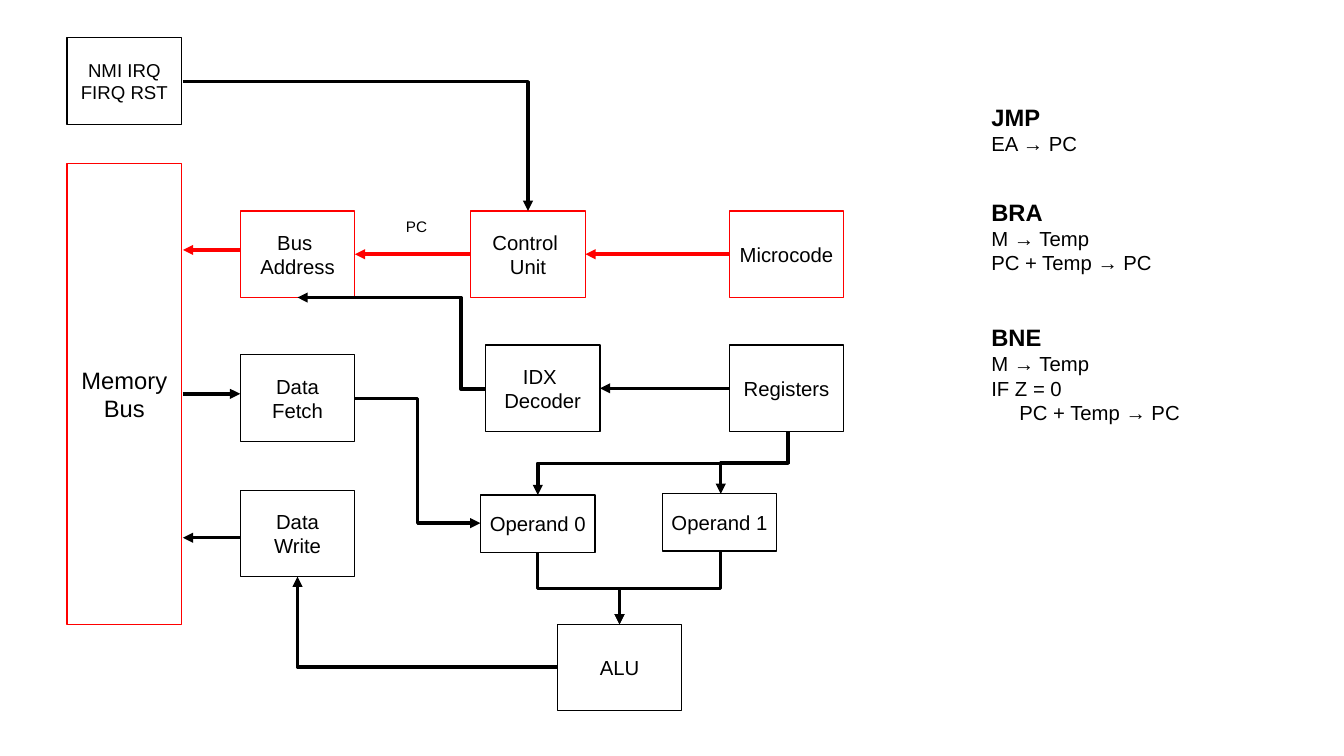
"""Build a slide with the block diagram of a processor and three jump instructions."""
from lxml.etree import SubElement
from pptx import Presentation
from pptx.dml.color import RGBColor
from pptx.enum.shapes import MSO_CONNECTOR, MSO_SHAPE
from pptx.enum.text import MSO_ANCHOR, MSO_AUTO_SIZE, PP_ALIGN
from pptx.oxml.ns import qn
from pptx.util import Inches, Pt

BLACK, RED, WHITE = "000000", "FF0000", "FFFFFF"
FONT = "Arial"
BOX_WIDTH, BOX_HEIGHT = 0.94, 0.71
TOP, LEFT, BOTTOM, RIGHT = range(4)

BLOCKS = [
    ("Control \nUnit", 3.86, 1.73, RED),
    ("Registers", 5.98, 2.83, BLACK),
    ("IDX \nDecoder", 3.98, 2.83, BLACK),
    ("Microcode", 5.98, 1.73, RED),
    ("Bus \nAddress", 1.97, 1.73, RED),
    ("Data\nFetch", 1.97, 2.91, BLACK),
    ("Data\nWrite", 1.97, 4.02, BLACK),
]
BUS_ARROWS = [
    ((1.97, 2.05), (1.5, 2.05), RED),
    ((1.5, 3.23), (1.97, 3.23), BLACK),
    ((1.97, 4.41), (1.5, 4.41), BLACK),
]
JOINED_ARROWS = [
    ("Registers", "IDX \nDecoder", BLACK),
    ("Microcode", "Control \nUnit", RED),
    ("Control \nUnit", "Bus \nAddress", RED),
]
CORNER_ARROWS = [((4.57, 5.47), (2.44, 4.73)), ((1.5, 0.67), (4.33, 1.73))]
SIDE_ARROWS = [
    ((2.91, 3.27), (3.94, 4.29), 0.5),
    ((3.98, 3.19), (2.44, 2.44), 0.13),
]
DOWN_ARROWS = [
    ((4.41, 4.53), (5.08, 5.12)),
    ((5.91, 4.53), (5.08, 5.12)),
    ((6.46, 3.54), (5.91, 4.05)),
    ((6.46, 3.54), (4.41, 4.06)),
]
INSTRUCTIONS = [
    (0.79, 0.5, "JMP\nEA → PC"),
    (1.57, 0.69, "BRA\nM → Temp\nPC + Temp → PC"),
    (2.6, 0.88, "BNE\nM → Temp\nIF Z = 0\nPC + Temp → PC"),
]


def color(value):
    """Turn a hex string into a colour."""
    return RGBColor.from_string(value)


def format_paragraph(paragraph, size, bold=False, align=PP_ALIGN.LEFT):
    """Set the alignment of a paragraph and the font of its runs."""
    paragraph.alignment = align
    for run in paragraph.runs:
        run.font.name = FONT
        run.font.size = Pt(size)
        run.font.bold = bold
        run.font.color.rgb = color(BLACK)


def add_block(slide, text, left, top, line=BLACK, width=BOX_WIDTH, height=BOX_HEIGHT, size=12):
    """Add a white rectangle with a hairline outline and centred text."""
    shape = slide.shapes.add_shape(
        MSO_SHAPE.RECTANGLE, Inches(left), Inches(top), Inches(width), Inches(height))
    shape.shadow.inherit = False
    shape.fill.solid()
    shape.fill.fore_color.rgb = color(WHITE)
    shape.line.color.rgb = color(line)
    shape.line.width = Pt(0)
    text_frame = shape.text_frame
    text_frame.word_wrap = False
    text_frame.vertical_anchor = MSO_ANCHOR.MIDDLE
    text_frame.text = text
    for paragraph in text_frame.paragraphs:
        format_paragraph(paragraph, size, align=PP_ALIGN.CENTER)
    return shape


def add_text(slide, text, left, top, width, height):
    """Add a wrapping text box and return its paragraphs."""
    shape = slide.shapes.add_textbox(Inches(left), Inches(top), Inches(width), Inches(height))
    text_frame = shape.text_frame
    text_frame.word_wrap = True
    text_frame.auto_size = MSO_AUTO_SIZE.SHAPE_TO_FIT_TEXT
    text_frame.text = text
    return text_frame.paragraphs


def add_instruction(slide, top, height, text):
    """Add a bold mnemonic with the steps of the instruction below it."""
    heading, *steps = add_text(slide, text, 8.03, top, 2.68, height)
    format_paragraph(heading, 14, bold=True)
    for step in steps:
        format_paragraph(step, 12)
    return steps


def add_arrow(slide, start, end, line=BLACK, kind=MSO_CONNECTOR.STRAIGHT):
    """Add a hairline connector with a triangular head at its end."""
    connector = slide.shapes.add_connector(kind, *(Inches(value) for value in (*start, *end)))
    connector.line.color.rgb = color(line)
    connector.line.width = Pt(0)
    properties = connector._element.spPr
    SubElement(properties.find(qn("a:ln")), qn("a:tailEnd"), type="triangle")
    SubElement(properties, qn("a:effectLst"))
    return connector


def add_corner_arrow(slide, start, end):
    """Add an arrow that leaves sideways and turns once."""
    connector = add_arrow(slide, start, end, kind=MSO_CONNECTOR.ELBOW)
    connector._element.spPr.find(qn("a:prstGeom")).set("prst", "bentConnector2")


def add_side_arrow(slide, start, end, bend):
    """Add an arrow that leaves and arrives sideways, turning at a share of its width."""
    connector = add_arrow(slide, start, end, kind=MSO_CONNECTOR.ELBOW)
    adjustments = connector._element.spPr.find(qn("a:prstGeom")).get_or_add_avLst()
    SubElement(adjustments, qn("a:gd"), name="adj1", fmla=f"val {round(bend * 100000)}")


def add_down_arrow(slide, start, end):
    """Add an arrow that leaves and arrives downwards, as an elbow turned by 90 degrees."""
    center_x, center_y = (start[0] + end[0]) / 2, (start[1] + end[1]) / 2
    half_x, half_y = (end[0] - start[0]) / 2, (end[1] - start[1]) / 2
    connector = add_arrow(
        slide, (center_x - half_y, center_y + half_x),
        (center_x + half_y, center_y - half_x), kind=MSO_CONNECTOR.ELBOW)
    connector._element.spPr.find(qn("a:xfrm")).set("rot", "5400000")


def main():
    """Build the slide and save it."""
    presentation = Presentation()
    presentation.slide_width, presentation.slide_height = Inches(11.02), Inches(6.2)
    slide = presentation.slides.add_slide(presentation.slide_layouts[6])

    blocks = {block[0]: add_block(slide, *block) for block in BLOCKS}
    add_block(slide, "ALU", 4.57, 5.12, width=1.02)
    add_block(slide, "Memory\nBus", 0.55, 1.34, RED, height=3.78, size=14)
    add_block(slide, "Operand 0", 3.94, 4.06, height=0.47)
    add_block(slide, "Operand 1", 5.43, 4.05, height=0.47)
    add_block(slide, "NMI IRQ\nFIRQ RST", 0.55, 0.31, size=11)

    for start, end, line in BUS_ARROWS:
        add_arrow(slide, start, end, line)
    for source, target, line in JOINED_ARROWS:
        connector = add_arrow(slide, (0, 0), (0, 0), line)
        connector.begin_connect(blocks[source], LEFT)
        connector.end_connect(blocks[target], RIGHT)
    for start, end in CORNER_ARROWS:
        add_corner_arrow(slide, start, end)
    for start, end, bend in SIDE_ARROWS:
        add_side_arrow(slide, start, end, bend)
    for start, end in DOWN_ARROWS:
        add_down_arrow(slide, start, end)

    format_paragraph(add_text(slide, "PC", 3.23, 1.73, 0.63, 0.31)[0], 9)
    for top, height, text in INSTRUCTIONS:
        steps = add_instruction(slide, top, height, text)
    steps[-1]._p.get_or_add_pPr().set("marL", str(Inches(0.23)))

    presentation.save("out.pptx")


if __name__ == "__main__":
    main()
